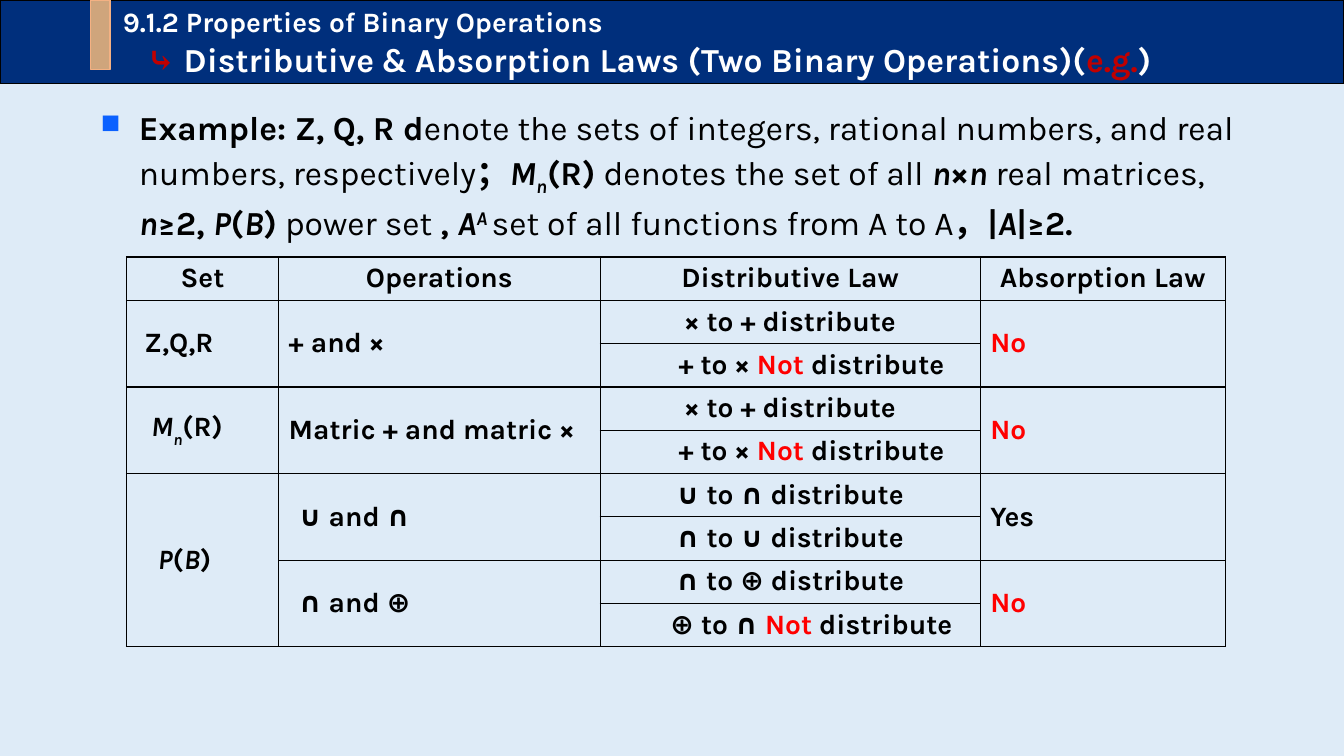
"""Builds a slide on the distributive and absorption laws of paired binary operations."""
from typing import NamedTuple

from lxml import etree
from pptx import Presentation
from pptx.dml.color import RGBColor
from pptx.enum.shapes import MSO_SHAPE
from pptx.enum.text import MSO_ANCHOR, PP_ALIGN
from pptx.oxml.ns import qn
from pptx.util import Emu, Inches, Pt

RECTANGLE = MSO_SHAPE.RECTANGLE
MIDDLE, TOP = MSO_ANCHOR.MIDDLE, MSO_ANCHOR.TOP
LEFT, CENTER = PP_ALIGN.LEFT, PP_ALIGN.CENTER
SLIDE_WIDTH, SLIDE_HEIGHT = Inches(13.33), Inches(7.5)
BLACK, WHITE, RED, DARK_RED = "000000", "FFFFFF", "FF0000", "C00000"
COLUMN_SHARES = (11.33, 23.93, 28.28, 18.23)
ROW_COUNT, ROW_SHARE = 9, 5.73


class Piece(NamedTuple):
    text: str
    italic: bool = False
    bold: bool = True
    color: str = BLACK
    baseline: int = 0
    font: str = "Karla"


class Box(NamedTuple):
    left: float
    top: float
    width: float
    height: float


class Entry(NamedTuple):
    row: int
    column: int
    pieces: list[Piece]
    row_span: int = 1
    indent: float = 0
    align: PP_ALIGN = LEFT


def across(percent: float) -> Emu:
    return Emu(round(SLIDE_WIDTH * percent / 100))


def down(percent: float) -> Emu:
    return Emu(round(SLIDE_HEIGHT * percent / 100))


def place(box: Box) -> tuple[Emu, Emu, Emu, Emu]:
    return across(box.left), down(box.top), across(box.width), down(box.height)


def rgb(color: str) -> RGBColor:
    return RGBColor.from_string(color)


def write(paragraph, pieces: list[Piece], size: float, indent: float = 0, hanging: float = 0) -> None:
    properties = paragraph._p.get_or_add_pPr()
    properties.set("marL", str(across(indent)))
    properties.set("indent", str(-across(hanging)))
    for piece in pieces:
        run = paragraph.add_run()
        run.text = piece.text
        font = run.font
        font.name, font.size = piece.font, Pt(size)
        font.bold, font.italic = piece.bold, piece.italic
        font.color.rgb = rgb(piece.color)
        if piece.baseline:
            run._r.get_or_add_rPr().set("baseline", str(piece.baseline * 1000))


def add_bar(slide, box: Box, fill: str, line: str):
    bar = slide.shapes.add_shape(RECTANGLE, *place(box))
    bar.shadow.inherit = False
    bar.fill.solid()
    bar.fill.fore_color.rgb = rgb(fill)
    bar.line.color.rgb = rgb(line)
    bar.line.width = Pt(1)
    return bar


def add_banner(slide) -> None:
    banner = add_bar(slide, Box(0, 0, 100, 11.07), "002F7C", BLACK)
    add_bar(slide, Box(6.75, 0, 1.43, 9.2), "CFA57C", "F4B183")
    text_frame = banner.text_frame
    text_frame.vertical_anchor = MIDDLE
    section, title = text_frame.paragraphs[0], text_frame.add_paragraph()
    section.alignment = title.alignment = LEFT
    write(section, [Piece("9.1.2 Properties of Binary Operations", color=WHITE)], 20, 8.4)
    write(title, [
        Piece("⤷ ", color=DARK_RED),
        Piece("Distributive ", color=WHITE),
        Piece("&", color=WHITE, font="Calibri"),
        Piece(" Absorption Laws (Two Binary Operations)(", color=WHITE),
        Piece("e.g.", color=DARK_RED),
        Piece(")", color=WHITE),
    ], 24, 10.2)


def add_example(slide) -> None:
    text_frame = slide.shapes.add_textbox(*place(Box(6.75, 12.93, 87.85, 18.67))).text_frame
    text_frame.word_wrap = True
    paragraph = text_frame.paragraphs[0]
    paragraph.line_spacing = 1.1
    properties = paragraph._p.get_or_add_pPr()
    bullet_color = etree.SubElement(properties, qn("a:buClr"))
    etree.SubElement(bullet_color, qn("a:srgbClr"), val="0B61FF")
    etree.SubElement(properties, qn("a:buSzPct"), val="80000")
    etree.SubElement(properties, qn("a:buChar"), char="■")
    write(paragraph, [
        Piece("Example: Z, Q, R d"),
        Piece("enote the sets of integers, rational numbers, and real numbers, respectively", bold=False),
        Piece("；"),
        Piece("M", italic=True),
        Piece("n", italic=True, baseline=-25),
        Piece("(R)"),
        Piece(" denotes the set of all ", bold=False),
        Piece("n", italic=True),
        Piece("×"),
        Piece("n", italic=True),
        Piece(" real matrices, ", bold=False),
        Piece("n", italic=True),
        Piece("≥2, "),
        Piece("P", italic=True),
        Piece("("),
        Piece("B", italic=True),
        Piece(")"),
        Piece(" power set ", bold=False),
        Piece(", "),
        Piece("A", italic=True),
        Piece("A ", italic=True, baseline=30),
        Piece("set of all functions from A to A", bold=False),
        Piece("，|"),
        Piece("A", italic=True),
        Piece("|≥2."),
    ], 24, 2.85, 2.85)


def law_entries() -> list[Entry]:
    headings = ("Set", "Operations", "Distributive Law", "Absorption Law")
    entries = [Entry(0, column, [Piece(text)], align=CENTER) for column, text in enumerate(headings)]
    matrices = [Piece("M", italic=True), Piece("n", italic=True, baseline=-30), Piece("(R)")]
    power_set = [Piece("P", italic=True), Piece("("), Piece("B", italic=True), Piece(")")]
    entries += [
        Entry(1, 0, [Piece("Z,Q,R")], 2, 0.6),
        Entry(3, 0, matrices, 2, 1.1),
        Entry(5, 0, power_set, 4, 1.6),
    ]
    operations = (("+ and ×", 0), ("Matric + and matric ×", 0), ("∪ and ∩", 0.75), ("∩ and ⊕", 0.75))
    for index, (text, indent) in enumerate(operations):
        entries.append(Entry(1 + 2 * index, 1, [Piece(text)], 2, indent))
    for index, answer in enumerate(("No", "No", "Yes", "No")):
        color = RED if answer == "No" else BLACK
        entries.append(Entry(1 + 2 * index, 3, [Piece(answer, color=color)], 2))
    pairs = ("× to +", "+ to ×", "× to +", "+ to ×", "∪ to ∩", "∩ to ∪", "∩ to ⊕", "⊕ to ∩")
    for row, pair in enumerate(pairs, start=1):
        negated = pair in ("+ to ×", "⊕ to ∩")
        pieces = [Piece(f"{pair} ")]
        if negated:
            pieces.append(Piece("Not ", color=RED))
        pieces.append(Piece("distribute"))
        entries.append(Entry(row, 2, pieces, indent=3.15 if negated else 0, align=CENTER))
    return entries


def add_borders(cell) -> None:
    properties = cell._tc.get_or_add_tcPr()
    for position, side in enumerate(("lnL", "lnR", "lnT", "lnB")):
        border = etree.Element(qn(f"a:{side}"), w=str(Pt(1)))
        fill = etree.SubElement(border, qn("a:solidFill"))
        etree.SubElement(fill, qn("a:srgbClr"), val=BLACK)
        properties.insert(position, border)


def add_law_table(slide) -> None:
    box = Box(9.4, 34, sum(COLUMN_SHARES), ROW_COUNT * ROW_SHARE)
    table = slide.shapes.add_table(ROW_COUNT, len(COLUMN_SHARES), *place(box)).table
    table.first_row = table.horz_banding = False
    for column, share in zip(table.columns, COLUMN_SHARES):
        column.width = across(share)
    for row in table.rows:
        row.height = down(ROW_SHARE)
    for cell in table.iter_cells():
        cell.fill.background()
        add_borders(cell)
    for entry in law_entries():
        cell = table.cell(entry.row, entry.column)
        if entry.row_span > 1:
            cell.merge(table.cell(entry.row + entry.row_span - 1, entry.column))
        cell.vertical_anchor = MIDDLE if entry.row_span > 1 else TOP
        paragraph = cell.text_frame.paragraphs[0]
        paragraph.alignment = entry.align
        write(paragraph, entry.pieces, 20, entry.indent)


def main() -> None:
    presentation = Presentation()
    presentation.slide_width, presentation.slide_height = SLIDE_WIDTH, SLIDE_HEIGHT
    slide = presentation.slides.add_slide(presentation.slide_layouts[6])
    slide.background.fill.solid()
    slide.background.fill.fore_color.rgb = rgb("DEEBF7")
    add_banner(slide)
    add_law_table(slide)
    add_example(slide)
    presentation.save("out.pptx")


if __name__ == "__main__":
    main()
